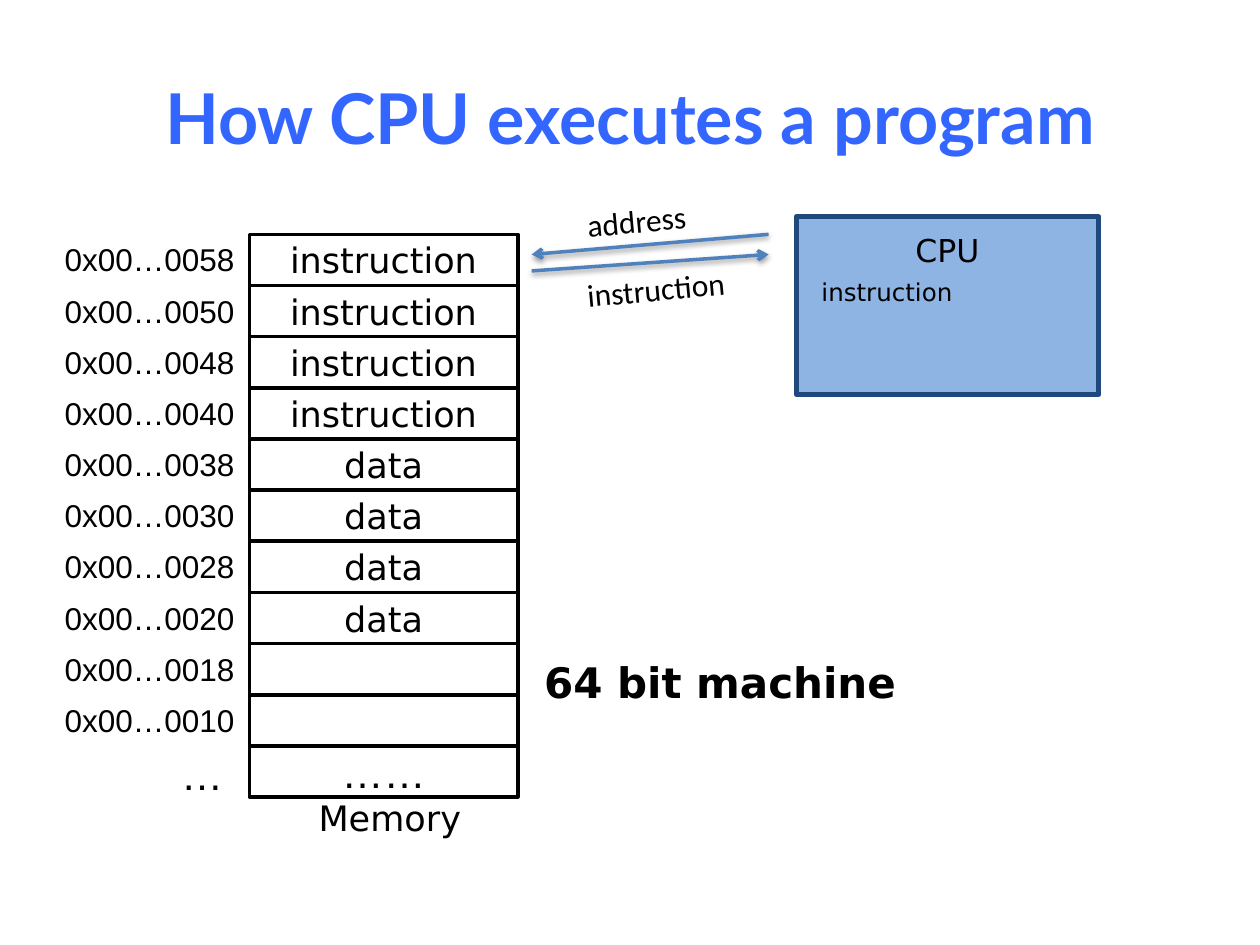
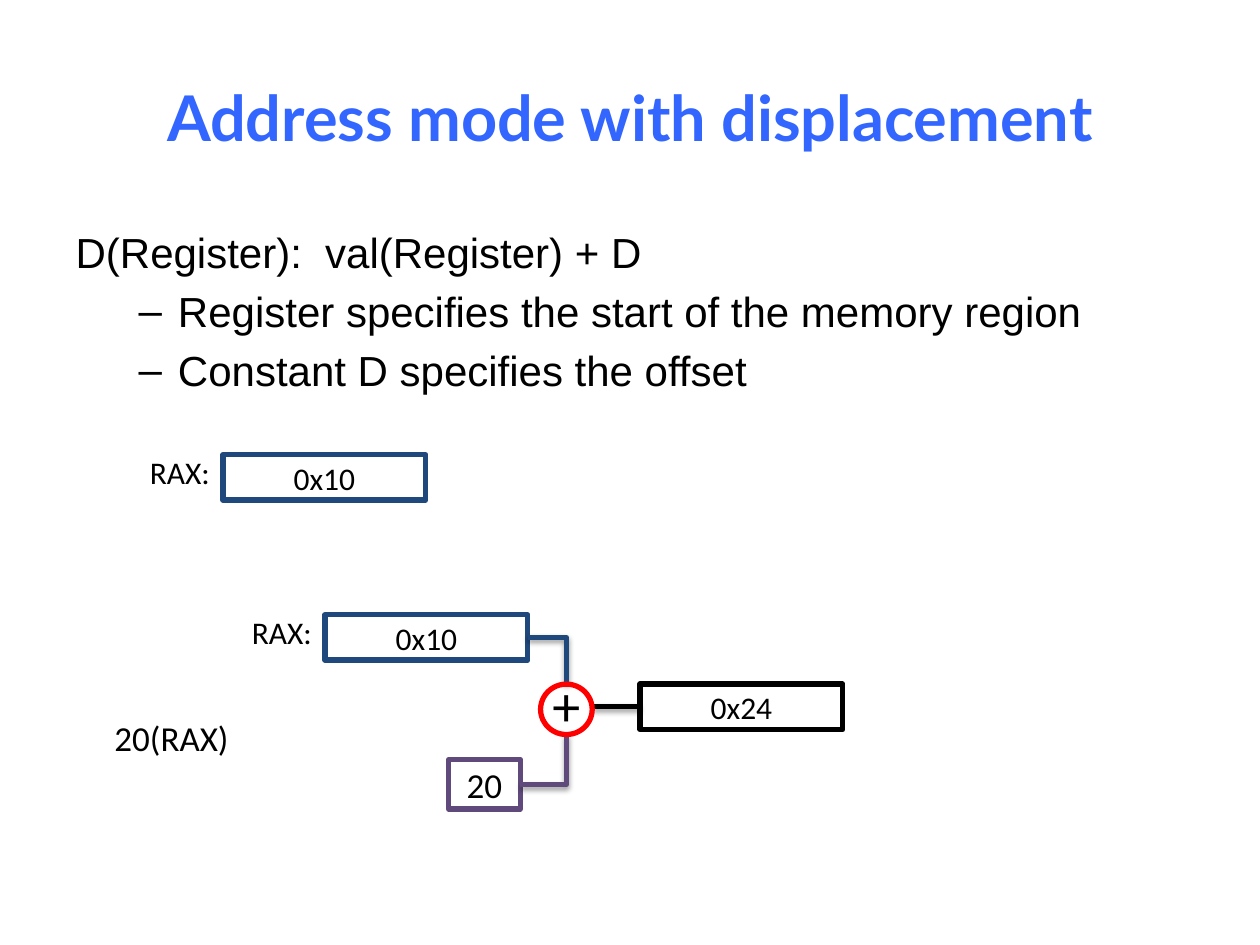
from lxml.etree import SubElement
from pptx import Presentation
from pptx.dml.color import RGBColor
from pptx.enum.shapes import MSO_CONNECTOR as Connector, MSO_SHAPE as Shape
from pptx.enum.text import MSO_ANCHOR as Anchor, PP_ALIGN as Align
from pptx.oxml.ns import qn
from pptx.util import Inches, Pt

# Shared look
BLACK, WHITE, NAVY, PURPLE = "000000", "FFFFFF", "1F497D", "604A7B"
TITLE_BLUE, ARROW_BLUE, CPU_BLUE, RED = "3366FF", "4F81BD", "8EB4E3", "FF0000"
TITLE_FONT, BODY_FONT, LABEL_FONT, CELL_FONT = "Lato", "Arial", "Calibri", "DejaVu Sans"
TITLE_BOX = (0.5, 0.3, 9, 1.25)

# Memory slide
MEMORY_TITLE = "How CPU executes a program"
MEMORY_CELLS = ["instruction"] * 4 + ["data"] * 4 + [""] * 2
ADDRESSES = [f"0x00…{address:04x}" for address in range(0x58, 0x08, -8)]
CELL_LEFT, CELL_TOP, CELL_WIDTH, CELL_HEIGHT = 1.98, 1.86, 2.13, 0.406
CPU_BOX = (6.32, 1.72, 2.4, 1.41)
BUS_TILT = 354.7
# label, label box, arrow start, arrow end
BUS = [
    ("address", (4.56, 1.55, 1, 0.4), (6.1, 1.86), (4.22, 2.02)),
    ("instruction", (4.56, 2.09, 1.31, 0.4), (4.22, 2.15), (6.1, 2.02)),
]

# Displacement slide
DISPLACEMENT_TITLE = "Address mode with displacement"
BODY_BOX = (0.5, 1.75, 9, 4.95)
DISPLACEMENT_RULE = "D(Register):  val(Register) + D"
DISPLACEMENT_POINTS = [
    "Register specifies the start of the memory region",
    "Constant D specifies the offset",
]
REGISTER_SIZE = (1.61, 0.36)
REGISTERS = [(1.77, 3.61), (2.58, 4.88)]
RESULT_AT = (5.08, 5.43)
OFFSET_BOX = (3.56, 6.03, 0.57, 0.39)
ADDER_BOX = (4.29, 5.43, 0.41, 0.4)


def color(hex_code):
    return RGBColor.from_string(hex_code)


def inches(values):
    return [Inches(value) for value in values]


def write(paragraph, text, size, font, hex_code=BLACK, bold=False, align=None):
    run = paragraph.add_run()
    run.text = text
    run.font.size, run.font.name, run.font.bold = Pt(size), font, bold
    run.font.color.rgb = color(hex_code)
    if align is not None:
        paragraph.alignment = align


def add_title(slide, text, size):
    title = slide.shapes.title
    title.left, title.top, title.width, title.height = inches(TITLE_BOX)
    title.text_frame.vertical_anchor = Anchor.MIDDLE
    write(title.text_frame.paragraphs[0], text, size, TITLE_FONT, TITLE_BLUE,
          True, Align.CENTER)


def add_label(slide, box, text, size, font, align=Align.LEFT, bold=False):
    label = slide.shapes.add_textbox(*inches(box))
    label.text_frame.word_wrap = False
    write(label.text_frame.paragraphs[0], text, size, font, bold=bold, align=align)
    return label


def add_box(slide, box, line, width, fill=None, kind=Shape.RECTANGLE,
            text="", size=18, font=LABEL_FONT):
    shape = slide.shapes.add_shape(kind, *inches(box))
    shape.shadow.inherit = False
    if fill:
        shape.fill.solid()
        shape.fill.fore_color.rgb = color(fill)
    else:
        shape.fill.background()
    shape.line.color.rgb = color(line)
    shape.line.width = Pt(width)
    frame = shape.text_frame
    frame.vertical_anchor = Anchor.MIDDLE
    frame.word_wrap = False
    if text:
        write(frame.paragraphs[0], text, size, font, align=Align.CENTER)
    return shape


def add_line(slide, start, end, hex_code, width, arrow=False, corner=False):
    """Draw a softly shadowed connector, straight or with one corner."""
    kind = Connector.ELBOW if corner else Connector.STRAIGHT
    line = slide.shapes.add_connector(kind, *inches(start + end))
    line.line.color.rgb = color(hex_code)
    line.line.width = Pt(width)
    properties = line._element.spPr
    if corner:
        properties.find(qn("a:prstGeom")).set("prst", "bentConnector2")
    if arrow:
        SubElement(properties.find(qn("a:ln")), qn("a:tailEnd"), type="arrow")
    effects = SubElement(properties, qn("a:effectLst"))
    shadow = SubElement(effects, qn("a:outerShdw"), blurRad="40000", dist="20000",
                        dir="5400000", rotWithShape="0")
    shade = SubElement(shadow, qn("a:srgbClr"), val=BLACK)
    SubElement(shade, qn("a:alpha"), val="38000")
    return line


def add_cpu(slide):
    cpu = add_box(slide, CPU_BOX, NAVY, 3, CPU_BLUE, text="CPU", font=CELL_FONT)
    frame = cpu.text_frame
    frame.word_wrap = True
    frame.vertical_anchor = Anchor.TOP
    frame.margin_left = frame.margin_right = Inches(0.2)
    frame.margin_top = Inches(0.11)
    fetched = frame.add_paragraph()
    fetched.space_before = Pt(5)
    write(fetched, "instruction", 14, CELL_FONT, align=Align.LEFT)


def build_memory_slide(presentation):
    slide = presentation.slides.add_slide(presentation.slide_layouts[5])
    add_title(slide, MEMORY_TITLE, 40)
    add_cpu(slide)

    def cell_box(row):
        return CELL_LEFT, CELL_TOP + row * CELL_HEIGHT, CELL_WIDTH, CELL_HEIGHT

    for row, (address, content) in enumerate(zip(ADDRESSES, MEMORY_CELLS)):
        add_box(slide, cell_box(row), BLACK, 2, WHITE,
                text=content, size=20, font=CELL_FONT)
        add_label(slide, (0.4, cell_box(row)[1], 1.56, 0.4), address, 18,
                  BODY_FONT, Align.RIGHT)
    add_box(slide, cell_box(len(ADDRESSES)), BLACK, 2, WHITE,
            text="……", size=24, font=BODY_FONT)
    add_label(slide, (1.33, 5.89, 0.54, 0.5), "…", 24, BODY_FONT, Align.RIGHT)
    add_label(slide, (2.43, 6.27, 1.33, 0.44), "Memory", 20, CELL_FONT)
    add_label(slide, (4.22, 5.16, 3.01, 0.5), "64 bit machine", 24, CELL_FONT, bold=True)

    for text, box, start, end in BUS:
        add_line(slide, start, end, ARROW_BLUE, 2, arrow=True)
        add_label(slide, box, text, 18, LABEL_FONT).rotation = BUS_TILT


def add_displacement_text(slide):
    body = slide.placeholders[1]
    body.left, body.top, body.width, body.height = inches(BODY_BOX)
    frame = body.text_frame
    rule = frame.paragraphs[0]
    rule.level = 1
    properties = rule._p.get_or_add_pPr()
    properties.set("marL", "0")
    properties.set("indent", "0")
    SubElement(properties, qn("a:buNone"))
    rule.space_before = Pt(0)
    write(rule, DISPLACEMENT_RULE, 24, BODY_FONT)
    for point in DISPLACEMENT_POINTS:
        paragraph = frame.add_paragraph()
        paragraph.level = 1
        write(paragraph, point, 24, BODY_FONT)


def build_displacement_slide(presentation):
    slide = presentation.slides.add_slide(presentation.slide_layouts[1])
    add_title(slide, DISPLACEMENT_TITLE, 36)
    add_displacement_text(slide)

    for left, top in REGISTERS:
        add_box(slide, (left, top) + REGISTER_SIZE, NAVY, 3, text="0x10")
        add_label(slide, (left - 0.68, top - 0.06, 0.68, 0.4), "RAX:", 18, LABEL_FONT)
    add_label(slide, (0.81, 5.64, 1.12, 0.44), "20(RAX)", 20, LABEL_FONT)
    add_box(slide, OFFSET_BOX, PURPLE, 3, text="20", size=20)
    result = add_box(slide, RESULT_AT + REGISTER_SIZE, BLACK, 3, text="0x24")

    adder_left, adder_top, adder_width, adder_height = ADDER_BOX
    adder_middle = adder_left + adder_width / 2
    register_left, register_top = REGISTERS[-1]
    register_width, register_height = REGISTER_SIZE
    offset_left, offset_top, offset_width, offset_height = OFFSET_BOX
    add_line(slide,
             (register_left + register_width, register_top + register_height / 2),
             (adder_middle, adder_top), NAVY, 3, corner=True)
    add_line(slide,
             (offset_left + offset_width, offset_top + offset_height / 2),
             (adder_middle, adder_top + adder_height), PURPLE, 3, corner=True)
    result_middle = RESULT_AT[1] + register_height / 2
    sum_line = add_line(slide, (adder_left + adder_width, result_middle),
                        (RESULT_AT[0], result_middle), BLACK, 3)
    sum_line.end_connect(result, 1)

    adder = add_box(slide, ADDER_BOX, RED, 3, kind=Shape.OVAL, text="+", size=32)
    frame = adder.text_frame
    frame.margin_left = frame.margin_right = frame.margin_top = 0
    frame.margin_bottom = Inches(0.08)


def main():
    presentation = Presentation()
    presentation.slide_width, presentation.slide_height = Inches(10), Inches(7.5)
    build_memory_slide(presentation)
    build_displacement_slide(presentation)
    presentation.save("out.pptx")


if __name__ == "__main__":
    main()
